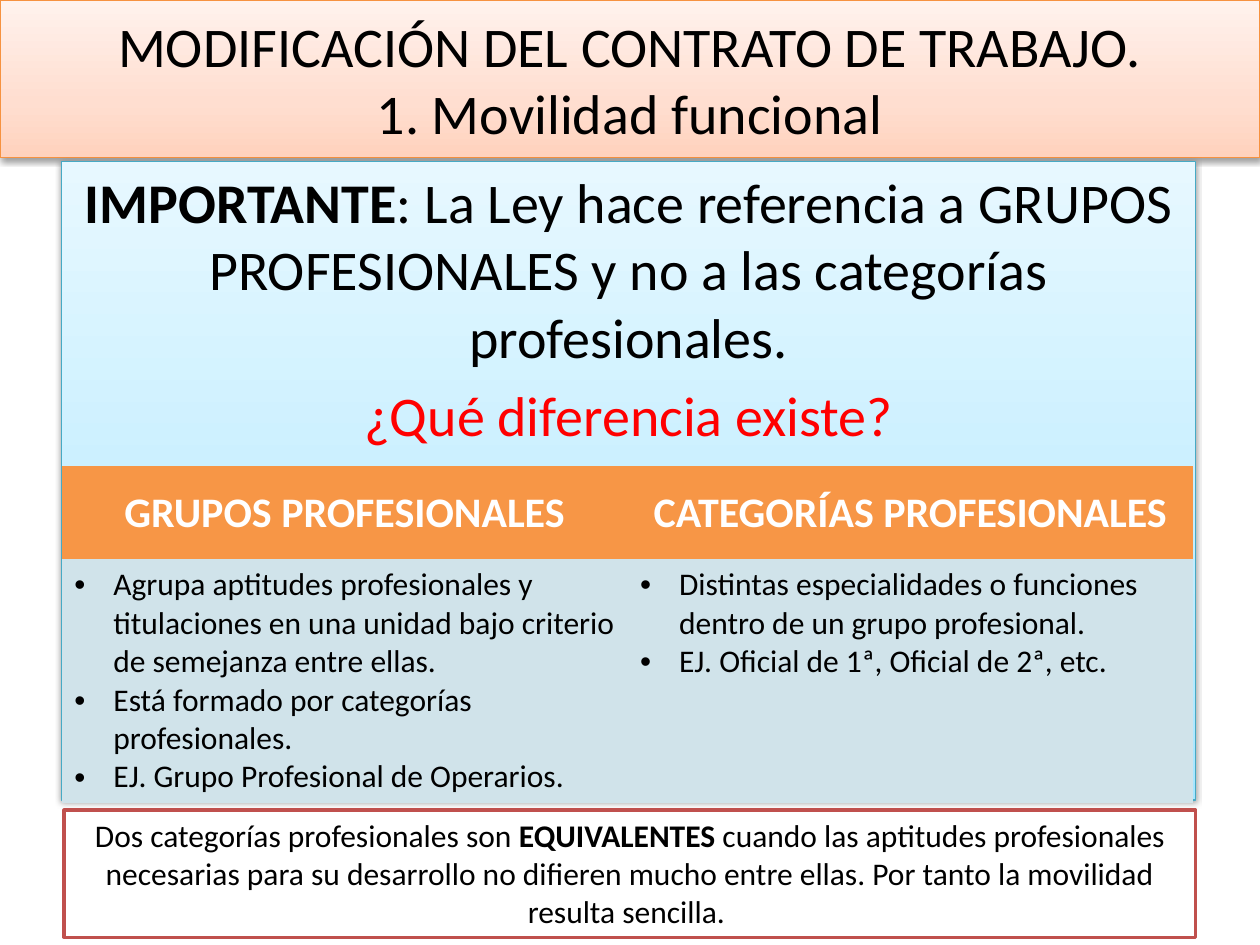
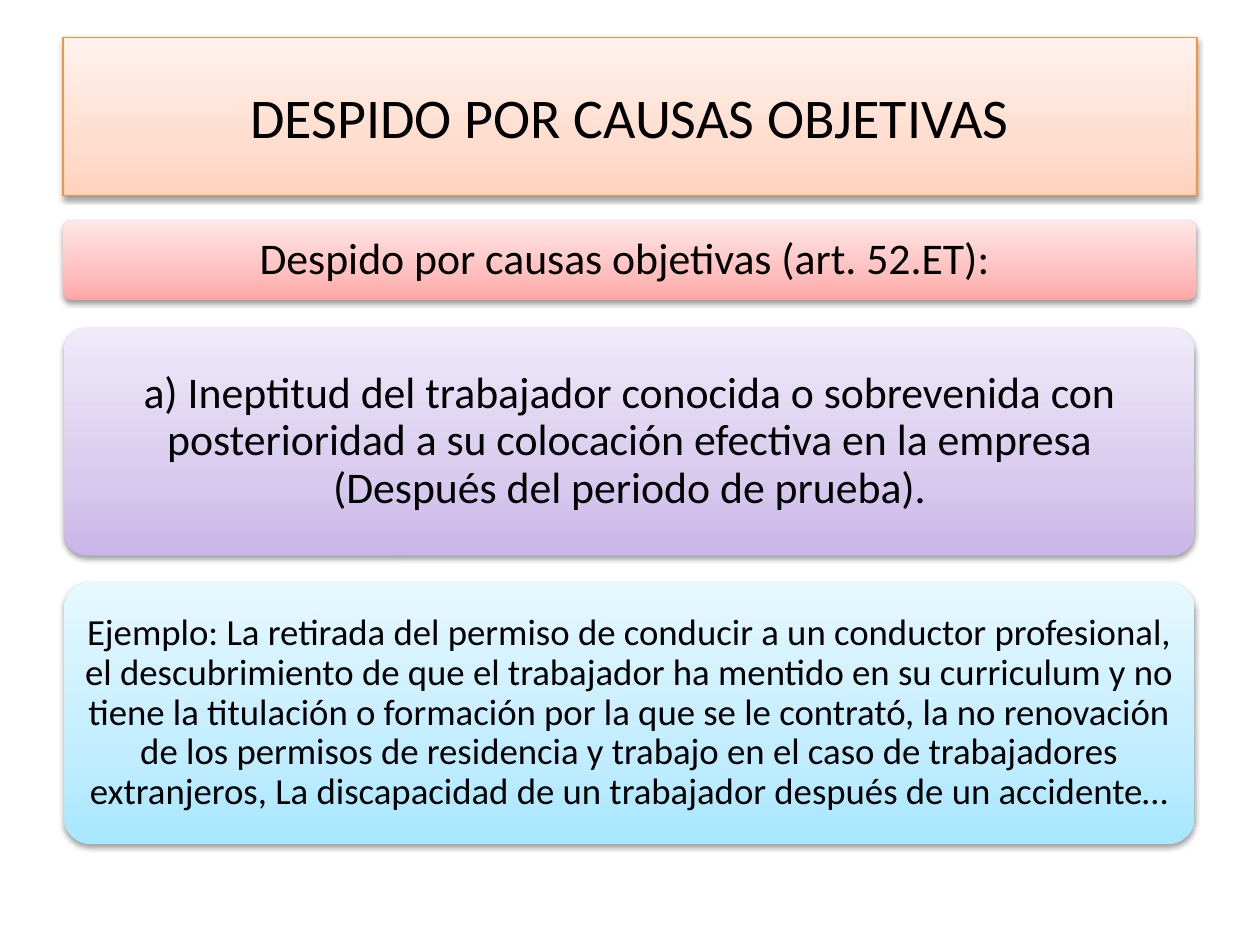
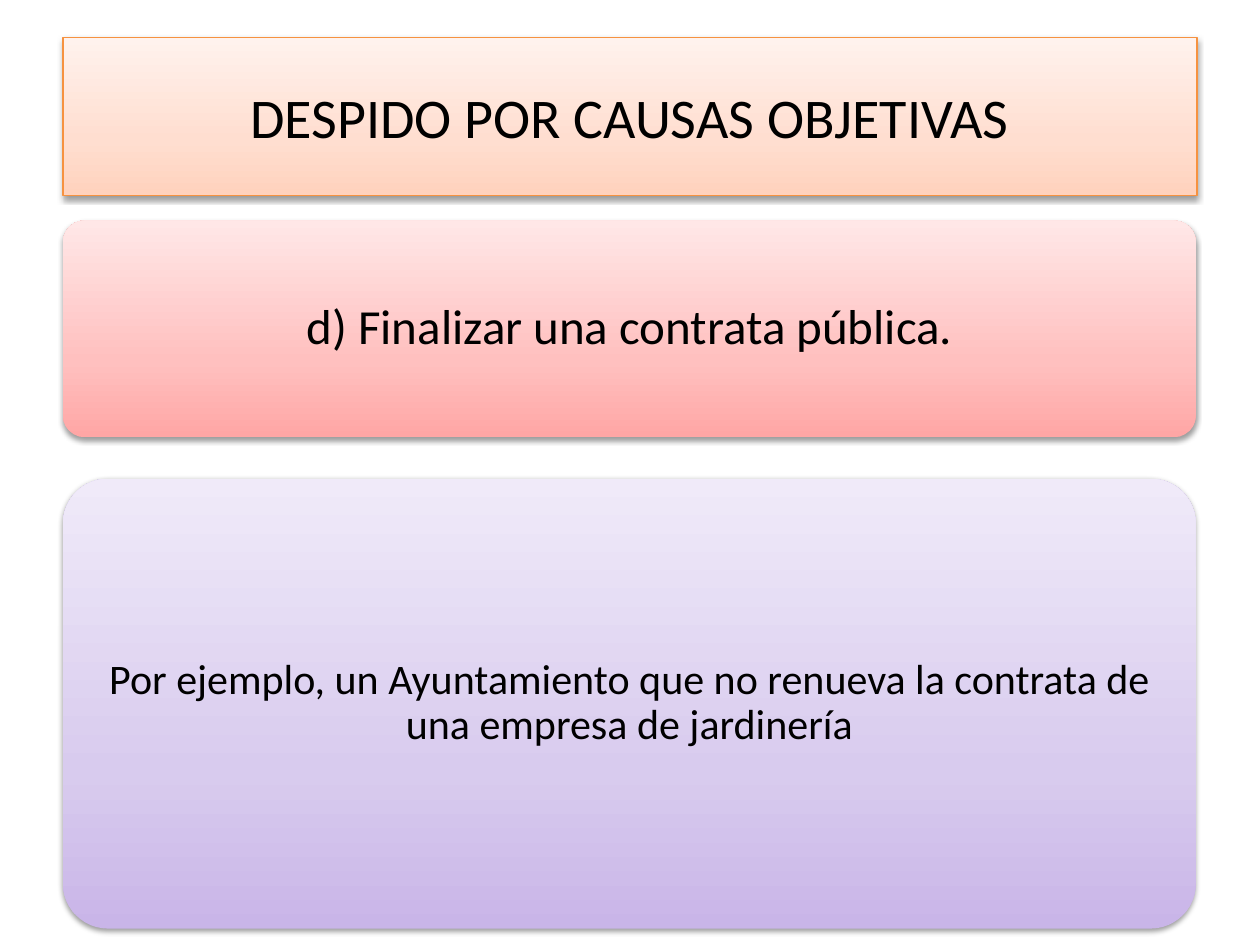
import copy

import pptx
import pptx.dml.color
import pptx.enum.shapes
import pptx.enum.text
import pptx.oxml
import pptx.oxml.ns
import pptx.util

Inches = pptx.util.Inches
Pt = pptx.util.Pt
qn = pptx.oxml.ns.qn
rgb = pptx.dml.color.RGBColor.from_string
SHAPES = pptx.enum.shapes.MSO_SHAPE
ANCHOR = pptx.enum.text.MSO_ANCHOR
CENTER = pptx.enum.text.PP_ALIGN.CENTER
NO_FIT = pptx.enum.text.MSO_AUTO_SIZE.NONE

# Shared look: gradients run from the bottom up
FONT = "Calibri"
BLACK, WHITE, RED = "000000", "FFFFFF", "FF0000"
ORANGE, PALE_BLUE, BRICK = "F79646", "D0E3EA", "C0504D"
TITLE_SIZE = 32
STOPS = (0, 0.35, 1)
PEACH = ("FFD2BD", "FFDED0", "FFF2ED")
SKY = ("A7E6FF", "C1EDFF", "E7F8FF")
ROSE = ("FFA6A5", "FFC0BF", "FFE7E7")
LILAC = ("C9B5E8", "D8CBEE", "F0EAF9")
SHADOW = (
    '<a:outerShdw xmlns:a="http://schemas.openxmlformats.org/drawingml/2006/main" '
    'blurRad="40000" dist="20000" dir="5400000" rotWithShape="0">'
    '<a:srgbClr val="000000"><a:alpha val="38000"/></a:srgbClr></a:outerShdw>'
)


def paint(shape, place, gradient, line=None):
    """Place a shape and give it a gradient, an outline and a soft shadow."""
    shape.left, shape.top, shape.width, shape.height = [Inches(n) for n in place]
    shape.fill.gradient()
    shape.fill.gradient_angle = 90
    properties = shape._element.spPr
    stop_list = properties.find(".//" + qn("a:gsLst"))
    stop_list.insert(1, copy.deepcopy(stop_list[0]))
    for stop, position, color in zip(shape.fill.gradient_stops, STOPS, gradient):
        stop.position = position
        stop.color.rgb = rgb(color)
    if line:
        shape.line.color.rgb = rgb(line)
        shape.line.width = Pt(0.75)
    else:
        shape.line.fill.background()
    shape.shadow.inherit = False
    properties.find(qn("a:effectLst")).append(pptx.oxml.parse_xml(SHADOW))


def write(paragraph, text, size, color=BLACK, alignment=CENTER):
    """Fill a paragraph; text between asterisks is bold."""
    paragraph.alignment = alignment
    for index, piece in enumerate(text.split("*")):
        if piece:
            span = paragraph.add_run()
            span.text = piece
            span.font.name = FONT
            span.font.size = Pt(size)
            span.font.bold = index % 2 == 1
            span.font.color.rgb = rgb(color)


deck = pptx.Presentation()
deck.slide_width, deck.slide_height = Inches(10), Inches(7.5)
title_style = deck.slide_master.element.find(".//" + qn("p:titleStyle"))
title_style.find(".//" + qn("a:defRPr")).set("sz", str(TITLE_SIZE * 100))

# Slides and their title bands
OBJECTIVE = "DESPIDO POR CAUSAS OBJETIVAS"
slides = []
for layout, place, heading in (
    (1, (0, 0, 10, 1.25),
     "MODIFICACIÓN DEL CONTRATO DE TRABAJO.\v1. Movilidad funcional"),
    (5, (0.5, 0.3, 9, 1.25), OBJECTIVE),
    (5, (0.5, 0.3, 9, 1.25), OBJECTIVE),
):
    slide = deck.slides.add_slide(deck.slide_layouts[layout])
    slides.append(slide)
    title = slide.shapes.title
    paint(title, place, PEACH, "F69240")
    title.text_frame.text = heading
    title.text_frame.auto_size = NO_FIT
    title.text_frame.vertical_anchor = ANCHOR.MIDDLE
    title.text_frame.paragraphs[0].alignment = CENTER
    for span in title.text_frame.paragraphs[0].runs:
        span.font.name = FONT
        span.font.size = Pt(TITLE_SIZE)
        span.font.color.rgb = rgb(BLACK)

# Slide 1: key statement
mobility = slides[0]
statement = mobility.placeholders[1]
paint(statement, (0.49, 1.28, 9, 5.07), SKY, "46AAC5")
frame = statement.text_frame
frame.auto_size = NO_FIT
write(frame.paragraphs[0], "*IMPORTANTE*: La Ley hace referencia a GRUPOS "
      "PROFESIONALES y no a las categorías profesionales.", 32)
write(frame.add_paragraph(), "¿Qué diferencia existe?", 32, RED)
for paragraph in frame.paragraphs:
    settings = paragraph._p.get_or_add_pPr()
    settings.set("marL", "0")
    settings.set("indent", "0")
    settings.append(settings.makeelement(qn("a:buNone"), {}))

# Slide 1: groups against categories
columns = (
    ("GRUPOS PROFESIONALES", (
        "Agrupa aptitudes profesionales y titulaciones en una unidad bajo "
        "criterio de semejanza entre ellas.",
        "Está formado por categorías profesionales.",
        "EJ. Grupo Profesional de Operarios.")),
    ("CATEGORÍAS PROFESIONALES", (
        "Distintas especialidades o funciones dentro de un grupo profesional.",
        "EJ. Oficial de 1ª, Oficial de 2ª, etc.")),
)
table = mobility.shapes.add_table(
    2, 2, Inches(0.49), Inches(3.7), Inches(8.98), Inches(2.6)).table
table.horz_banding = False
NO_GRID = "{2D5ABB26-0587-4C30-8999-92F81FD0307C}"
table._tbl.tblPr.find(qn("a:tableStyleId")).text = NO_GRID
table.rows[0].height, table.rows[1].height = Inches(0.74), Inches(1.86)
for column, (heading, points) in enumerate(columns):
    header, content = table.cell(0, column), table.cell(1, column)
    for cell, color in ((header, ORANGE), (content, PALE_BLUE)):
        cell.fill.solid()
        cell.fill.fore_color.rgb = rgb(color)
    header.vertical_anchor = ANCHOR.MIDDLE
    write(header.text_frame.paragraphs[0], f"*{heading}*", 24, WHITE)
    frame = content.text_frame
    for index, point in enumerate(points):
        paragraph = frame.add_paragraph() if index else frame.paragraphs[0]
        write(paragraph, point, 18, alignment=pptx.enum.text.PP_ALIGN.LEFT)
        settings = paragraph._p.get_or_add_pPr()
        settings.set("marL", str(Inches(0.31)))
        settings.set("indent", str(-Inches(0.31)))
        settings.append(settings.makeelement(qn("a:buFont"), {"typeface": "Arial"}))
        settings.append(settings.makeelement(qn("a:buChar"), {"char": "•"}))

# Slide 1: closing note
note = mobility.shapes.add_shape(
    SHAPES.RECTANGLE, Inches(0.51), Inches(6.43), Inches(8.98), Inches(1.01))
note.shadow.inherit = False
note.fill.solid()
note.fill.fore_color.rgb = rgb(WHITE)
note.line.color.rgb = rgb(BRICK)
note.line.width = Pt(2)
note.text_frame.word_wrap = True
note.text_frame.auto_size = pptx.enum.text.MSO_AUTO_SIZE.SHAPE_TO_FIT_TEXT
note.text_frame.vertical_anchor = ANCHOR.TOP
write(note.text_frame.paragraphs[0], "Dos categorías profesionales son *EQUIVALENTES* "
      "cuando las aptitudes profesionales necesarias para su desarrollo no difieren "
      "mucho entre ellas. Por tanto la movilidad resulta sencilla. ", 18)

# Slides 2 and 3: stacked cards
cards = (
    (slides[1], (0.5, 1.75, 8.99, 0.63), ROSE, 25,
     "Despido por causas objetivas (art. 52.ET): "),
    (slides[1], (0.51, 2.6, 8.97, 1.81), LILAC, 25,
     "a) Ineptitud del trabajador conocida o sobrevenida con posterioridad a su "
     "colocación efectiva en la empresa (Después del periodo de prueba)."),
    (slides[1], (0.51, 4.62, 8.97, 2.08), SKY, 21,
     "Ejemplo: La retirada del permiso de conducir a un conductor profesional, el "
     "descubrimiento de que el trabajador ha mentido en su curriculum y no tiene la "
     "titulación o formación por la que se le contrató, la no renovación de los "
     "permisos de residencia y trabajo en el caso de trabajadores extranjeros, La "
     "discapacidad de un trabajador después de un accidente…"),
    (slides[2], (0.5, 1.75, 8.99, 1.72), ROSE, 28,
     "d) Finalizar una contrata pública."),
    (slides[2], (0.5, 3.8, 8.99, 3.57), LILAC, 24,
     "Por ejemplo, un Ayuntamiento que no renueva la contrata de una empresa de "
     "jardinería"),
)
for slide, place, gradient, size, text in cards:
    card = slide.shapes.add_shape(SHAPES.ROUNDED_RECTANGLE, 0, 0, 0, 0)
    paint(card, place, gradient)
    card.adjustments[0] = 0.1
    frame = card.text_frame
    frame.word_wrap = True
    frame.vertical_anchor = ANCHOR.MIDDLE
    margin = Pt(0.3 * size)
    frame.margin_left = frame.margin_right = margin
    frame.margin_top = frame.margin_bottom = margin
    write(frame.paragraphs[0], text, size)
    frame.paragraphs[0].line_spacing = 0.9

deck.save("out.pptx")
